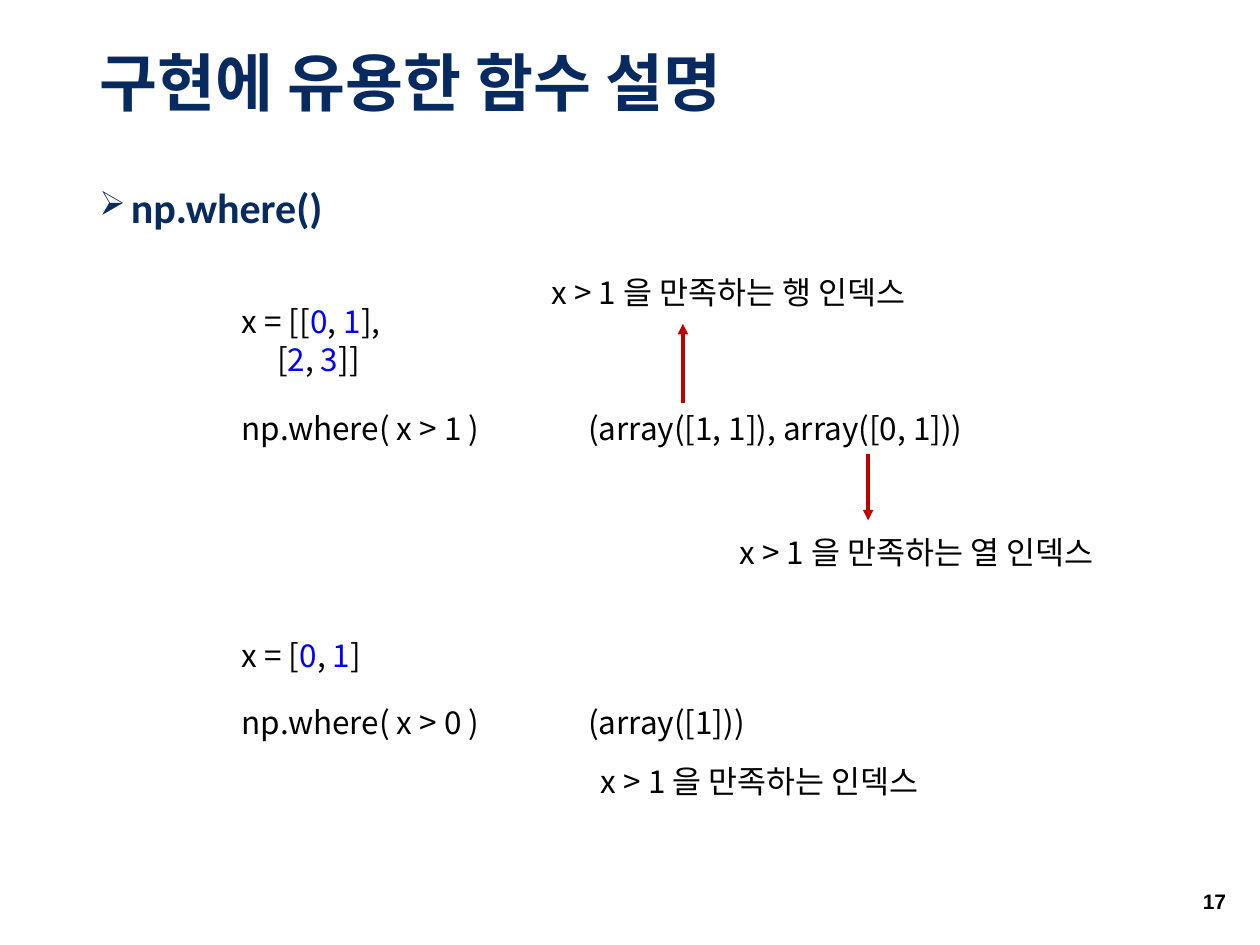
from dataclasses import dataclass
from itertools import groupby

from lxml import etree
from pptx import Presentation
from pptx.dml.color import RGBColor
from pptx.enum.shapes import MSO_CONNECTOR
from pptx.enum.text import MSO_ANCHOR as Anchor, MSO_AUTO_SIZE as AutoSize, PP_ALIGN as Align
from pptx.oxml.ns import qn
from pptx.util import Inches, Pt


@dataclass(frozen=True)
class Theme:
    navy: str = "072B61"
    black: str = "000000"
    number: str = "0000FF"
    arrow: str = "C00000"
    heading_font: str = "Calibri"
    code_font: str = "Noto Sans CJK KR"
    page_font: str = "Arial"
    title_size: int = 36
    topic_size: int = 24
    code_size: int = 18
    page_size: int = 12
    arrow_width: int = 2


def apply(target, values):
    for name, value in values.items():
        setattr(target, name, value)


class SlideBuilder:
    def __init__(self, slide, theme):
        self.slide = slide
        self.theme = theme

    def frame(self, left, top, width, height, **values):
        box = self.slide.shapes.add_textbox(*map(Inches, (left, top, width, height)))
        apply(box.text_frame, {"word_wrap": True, "auto_size": AutoSize.NONE, **values})
        return box.text_frame

    def run(self, paragraph, text, font, size, color, bold=False):
        run = paragraph.add_run()
        run.text = text
        apply(run.font, {"name": font, "size": Pt(size), "bold": bold})
        run.font.color.rgb = RGBColor.from_string(color)
        east_asian = etree.SubElement(run.font._element, qn("a:ea"))
        east_asian.set("typeface", self.theme.code_font)

    def heading(self, text, area, size, anchor, bullet=None):
        paragraph = self.frame(*area, vertical_anchor=anchor).paragraphs[0]
        if bullet:
            props = paragraph._p.get_or_add_pPr()
            props.set("marL", str(Inches(0.25)))
            props.set("indent", str(Inches(-0.25)))
            etree.SubElement(props, qn("a:buSzPct")).set("val", "80000")
            etree.SubElement(props, qn("a:buChar")).set("char", bullet)
        paragraph.line_spacing = 0.9
        self.run(paragraph, text, self.theme.heading_font, size, self.theme.navy, True)

    def code(self, text, left, top, width, height=0.4, wrap=False, highlight=False):
        """Place a line of code or a remark; highlight colours its digits."""
        paragraph = self.frame(left, top, width, height, word_wrap=wrap,
                               auto_size=AutoSize.SHAPE_TO_FIT_TEXT).paragraphs[0]
        theme = self.theme
        for index, line in enumerate(text.split("\n")):
            if index:
                paragraph.add_line_break()
            for is_number, part in groupby(line, lambda c: highlight and c.isdigit()):
                color = theme.number if is_number else theme.black
                self.run(paragraph, "".join(part), theme.code_font, theme.code_size, color)

    def arrow(self, x, start, end):
        line = self.slide.shapes.add_connector(
            MSO_CONNECTOR.STRAIGHT, *map(Inches, (x, start, x, end)))
        line.line.width = Pt(self.theme.arrow_width)
        line.line.color.rgb = RGBColor.from_string(self.theme.arrow)
        etree.SubElement(line.line._get_or_add_ln(), qn("a:tailEnd")).set("type", "triangle")
        etree.SubElement(line._element.spPr, qn("a:effectLst"))

    def page_number(self, text, area):
        paragraph = self.frame(*area, vertical_anchor=Anchor.MIDDLE).paragraphs[0]
        paragraph.alignment = Align.RIGHT
        theme = self.theme
        self.run(paragraph, text, theme.page_font, theme.page_size, theme.black, True)


def main():
    deck = Presentation()
    apply(deck, {"slide_width": Inches(10), "slide_height": Inches(7.5)})
    theme = Theme()
    page = SlideBuilder(deck.slides.add_slide(deck.slide_layouts[6]), theme)

    # Title, topic and page number
    page.heading("구현에 유용한 함수 설명", (0.69, 0.18, 8.62, 1.01),
                 theme.title_size, Anchor.MIDDLE)
    page.heading("np.where()", (0.69, 1.44, 8.62, 5.44),
                 theme.topic_size, Anchor.TOP, bullet="➢")
    page.page_number("17", (9.31, 6.95, 0.52, 0.4))

    # Inputs, calls and results of both examples
    call_left, result_left = 1.82, 4.57
    matrix_row, vector_row = 3.2, 5.53
    page.code("x = [[0, 1],\n     [2, 3]]", call_left, 2.35, 1.72, 0.71, highlight=True)
    page.code("x = [0, 1]", call_left, 5, 1.46, highlight=True)
    for row, call, result in (
        (matrix_row, "np.where( x > 1 )", "(array([1, 1]), array([0, 1]))"),
        (vector_row, "np.where( x > 0 )", "(array([1]))"),
    ):
        page.code(call, call_left, row, 2.35)
        page.code(result, result_left, row, 5, wrap=True)

    # Remarks on the results
    for remark, left, top, width in (
        ("x > 1 을 만족하는 행 인덱스", 4.28, 2.12, 3.44),
        ("x > 1 을 만족하는 열 인덱스", 5.77, 4.18, 3.44),
        ("x > 1 을 만족하는 인덱스", 4.67, 6, 3.19),
    ):
        page.code(remark, left, top, width)

    # Arrows from the matrix result to its row and column remarks
    page.arrow(5.42, matrix_row, 2.57)
    page.arrow(6.89, matrix_row + 0.4, 4.13)

    deck.save("out.pptx")


if __name__ == "__main__":
    main()
